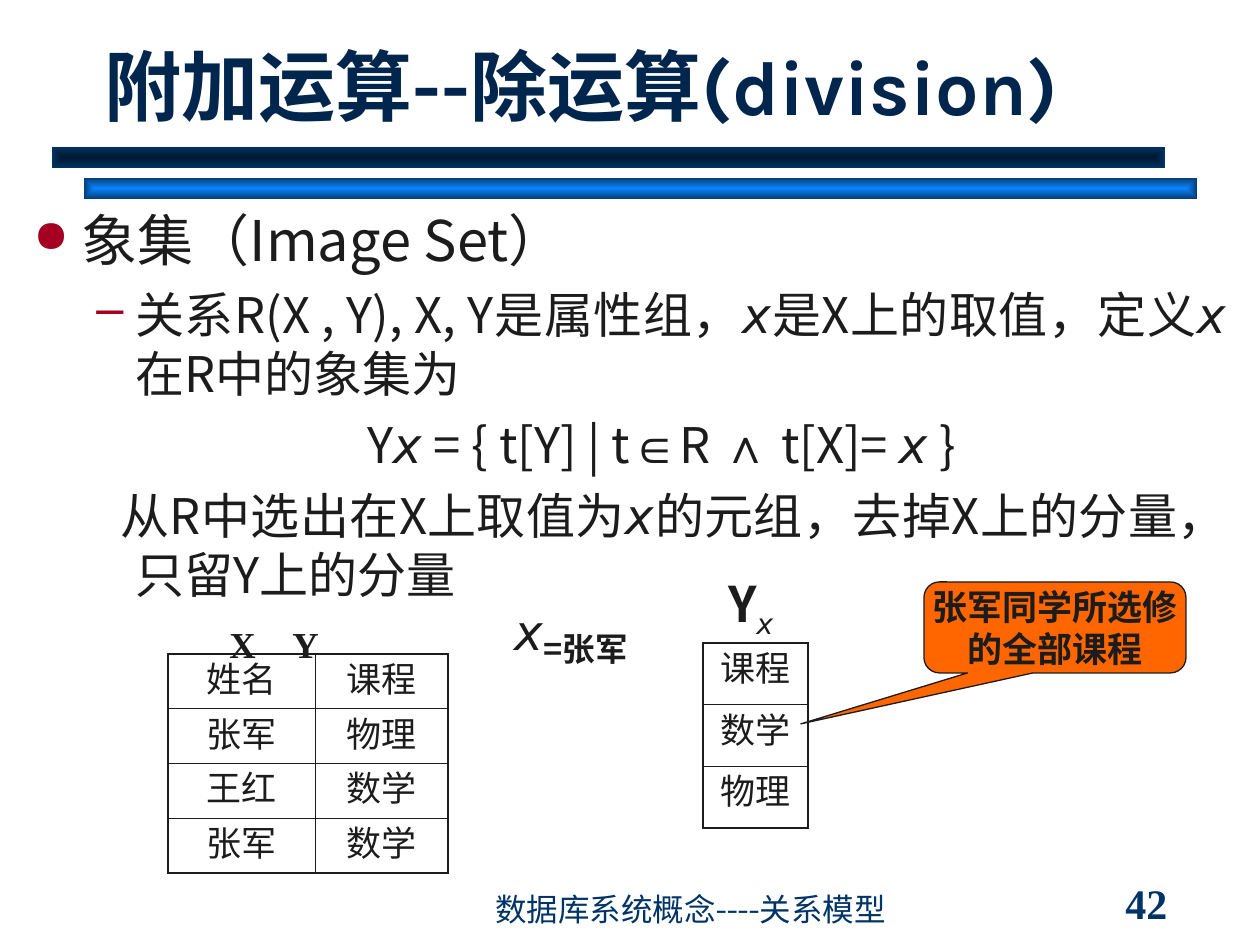
from lxml.etree import SubElement
from pptx import Presentation
from pptx.dml.color import RGBColor
from pptx.enum.shapes import MSO_SHAPE as Shape
from pptx.enum.text import MSO_ANCHOR as Anchor, PP_ALIGN as Align
from pptx.oxml.ns import qn
from pptx.util import Emu, Pt

NAVY = RGBColor(0x00, 0x33, 0x66)
TITLE_NAVY = RGBColor(0x00, 0x26, 0x4D)
MIDNIGHT = RGBColor(0x00, 0x18, 0x2F)
BRIGHT_BLUE = RGBColor(0x0A, 0x84, 0xFF)
DEEP_BLUE = RGBColor(0x05, 0x3D, 0x76)
RED = RGBColor(0xA5, 0x00, 0x21)
ORANGE = RGBColor(0xFF, 0x66, 0x00)
INK = RGBColor(0x1C, 0x1C, 0x1C)

CJK, KARLA, MONO, SERIF = "Noto Sans CJK JP", "Karla", "DejaVu Sans Mono", "Times New Roman"
PLAIN = dict(name=CJK, size=28)
VARIABLE = dict(name=MONO, size=28, italic=True)
SYMBOL = dict(name="Arial", size=28)
CELL = dict(name=KARLA, size=20)
THIN, THICK = 0.45, 1.08


def px(length):
    """Turn pixels into EMU."""
    return Emu(round(length * 914400 / 126))


def add_child(parent, tag, **attributes):
    """Append a drawing element with attributes."""
    return SubElement(parent, qn(tag), {key: str(value) for key, value in attributes.items()})


def add_span(para, text, look):
    """Add one run with its font values."""
    span = para.add_run()
    span.text = text
    values = dict(look)
    color = values.pop("color", INK)
    baseline = values.pop("baseline", 0)
    values["size"] = Pt(values["size"])
    for key, value in values.items():
        setattr(span.font, key, value)
    span.font.color.rgb = color
    props = span._r.get_or_add_rPr()
    add_child(props, "a:ea", typeface=look["name"])
    if baseline:
        props.set("baseline", str(baseline * 1000))


def fill_para(para, spans, align=Align.LEFT, before=0, margin=0, indent=0, bullet=None, size=100, tab=0):
    """Fill a paragraph with runs, bullet, tab and spacing."""
    props = para._p.get_or_add_pPr()
    props.set("marL", str(px(margin)))
    props.set("indent", str(px(indent)))
    if bullet:
        add_child(add_child(props, "a:buClr"), "a:srgbClr", val=RED)
        add_child(props, "a:buSzPct", val=size * 1000)
        add_child(props, "a:buChar", char=bullet)
    if tab:
        add_child(add_child(props, "a:tabLst"), "a:tab", pos=px(tab), algn="l")
    para.alignment = align
    para.space_before = Pt(before)
    for text, look in spans:
        add_span(para, text, look)


def add_text(page, at, paras, anchor=Anchor.TOP, wrap=True):
    """Add a text box holding the given paragraphs."""
    frame = page.shapes.add_textbox(*map(px, at)).text_frame
    frame.word_wrap = wrap
    frame.vertical_anchor = anchor
    for index, values in enumerate(paras):
        fill_para(frame.add_paragraph() if index else frame.paragraphs[0], **values)


def add_bar(page, at, center, edge):
    """Add a title rule shaded from its centre to its edges."""
    bar = page.shapes.add_shape(Shape.RECTANGLE, *map(px, at))
    bar.shadow.inherit = False
    bar.line.fill.background()
    bar.fill.gradient()
    for stop, color in zip(bar.fill.gradient_stops, (center, edge)):
        stop.color.rgb = color
    gradient = bar._element.spPr.find(qn("a:gradFill"))
    gradient.remove(gradient.find(qn("a:lin")))
    shade = add_child(gradient, "a:path", path="rect")
    add_child(shade, "a:fillToRect", l=50000, t=50000, r=50000, b=50000)


def add_callout(page, at, text):
    """Add the orange callout pointing at the image set."""
    callout = page.shapes.add_shape(Shape.ROUNDED_RECTANGULAR_CALLOUT, *map(px, at))
    for index, value in enumerate((-0.97, 1.06, 0.17)):
        callout.adjustments[index] = value
    callout.shadow.inherit = False
    callout.fill.solid()
    callout.fill.fore_color.rgb = ORANGE
    callout.line.color.rgb = INK
    callout.line.width = Pt(0.75)
    frame = callout.text_frame
    frame.word_wrap = True
    frame.vertical_anchor = Anchor.MIDDLE
    for side in ("left", "top", "right", "bottom"):
        setattr(frame, f"margin_{side}", 0)
    fill_para(frame.paragraphs[0], [(text, dict(name=CJK, size=20, bold=True))], Align.CENTER)


def set_borders(cell, widths):
    """Draw the left, right, top and bottom lines of a cell."""
    props = cell._tc.get_or_add_tcPr()
    for side, width in zip("LRTB", widths):
        line = add_child(props, f"a:ln{side}", w=Pt(width))
        add_child(add_child(line, "a:solidFill"), "a:srgbClr", val=INK)


def add_grid(page, left, top, widths, height, rows):
    """Add a table with thick outer and thin inner lines."""
    last_row, last_col = len(rows) - 1, len(widths) - 1
    box = map(px, (left, top, sum(widths), height))
    table = page.shapes.add_table(len(rows), len(widths), *box).table
    table.first_row = table.horz_banding = False
    for column, width in zip(table.columns, widths):
        column.width = px(width)
    for r, row in enumerate(rows):
        table.rows[r].height = px(height / len(rows))
        for c, text in enumerate(row):
            cell = table.cell(r, c)
            outer = (c == 0, c == last_col, r == 0, r == last_row)
            set_borders(cell, [THICK if side else THIN for side in outer])
            cell.fill.background()
            fill_para(cell.text_frame.paragraphs[0], [(text, CELL)], Align.CENTER)


def add_definition(page):
    """Add the bulleted definition of the image set."""
    x = ("x", VARIABLE)
    level = dict(before=7, margin=102)
    add_text(page, (21, 199, 1218, 438), [
        dict(spans=[("象集（Image Set）", dict(name=CJK, size=32))], align=Align.JUSTIFY,
             margin=48, indent=-48, bullet="●", size=80),
        dict(level, align=Align.JUSTIFY, indent=-39, bullet="–",
             spans=[("关系R(X , Y), X, Y是属性组，", PLAIN), x, ("是X上的取值，定义", PLAIN), x,
                    ("在R中的象集为", PLAIN)]),
        dict(level, align=Align.CENTER, indent=-39,
             spans=[("Y", PLAIN), x, (" = { t[Y] | t", PLAIN), ("∈", SYMBOL), ("R ", PLAIN),
                    ("∧", SYMBOL), (" t[X]= ", PLAIN), x, (" }", PLAIN)]),
        dict(level, align=Align.JUSTIFY, indent=-15,
             spans=[("从R中选出在X上取值为", PLAIN), x,
                    ("的元组，去掉X上的分量，只留Y上的分量", PLAIN)]),
    ])


def main():
    """Build the slide on the division operation."""
    deck = Presentation()
    deck.slide_width, deck.slide_height = px(1260), px(945)
    page = deck.slides.add_slide(deck.slide_layouts[6])
    add_bar(page, (84, 178, 1113, 21), BRIGHT_BLUE, DEEP_BLUE)
    add_bar(page, (52, 147, 1113, 21), MIDNIGHT, NAVY)
    number = dict(name=SERIF, size=24, bold=True, color=NAVY)
    add_text(page, (1113, 882, 136, 42), [dict(spans=[("42", number)])], Anchor.MIDDLE, False)
    footer = dict(name=KARLA, size=18, color=NAVY)
    add_text(page, (483, 892, 514, 42), [dict(spans=[("数据库系统概念----关系模型", footer)])], Anchor.BOTTOM)
    title = dict(name=KARLA, size=44, bold=True, color=TITLE_NAVY)
    add_text(page, (92, 21, 1074, 116), [dict(spans=[("附加运算--除运算(division)", title)])], Anchor.BOTTOM)
    add_definition(page)
    heading = dict(name=SERIF, size=36, bold=True, baseline=-20)
    add_text(page, (189, 577, 242, 96), [dict(spans=[("X\tY", heading)], margin=28, tab=162)])
    add_callout(page, (924, 582, 262, 91), "张军同学所选修的全部课程")
    value = dict(name=CJK, size=32, bold=True, baseline=-20)
    add_text(page, (481, 588, 180, 87), [dict(spans=[("x", VARIABLE), ("=张军", value)], align=Align.CENTER)])
    image_set = dict(name="Noto Sans CJK SC", size=28, bold=True)
    add_text(page, (683, 567, 136, 79),
             [dict(spans=[("Y", image_set), ("x", dict(VARIABLE, baseline=-25))], align=Align.CENTER)])
    add_grid(page, 168, 654, (147, 133), 218,
             [("姓名", "课程"), ("张军", "物理"), ("王红", "数学"), ("张军", "数学")])
    add_grid(page, 703, 643, (105,), 185, [("课程",), ("数学",), ("物理",)])
    deck.save("out.pptx")


if __name__ == "__main__":
    main()
